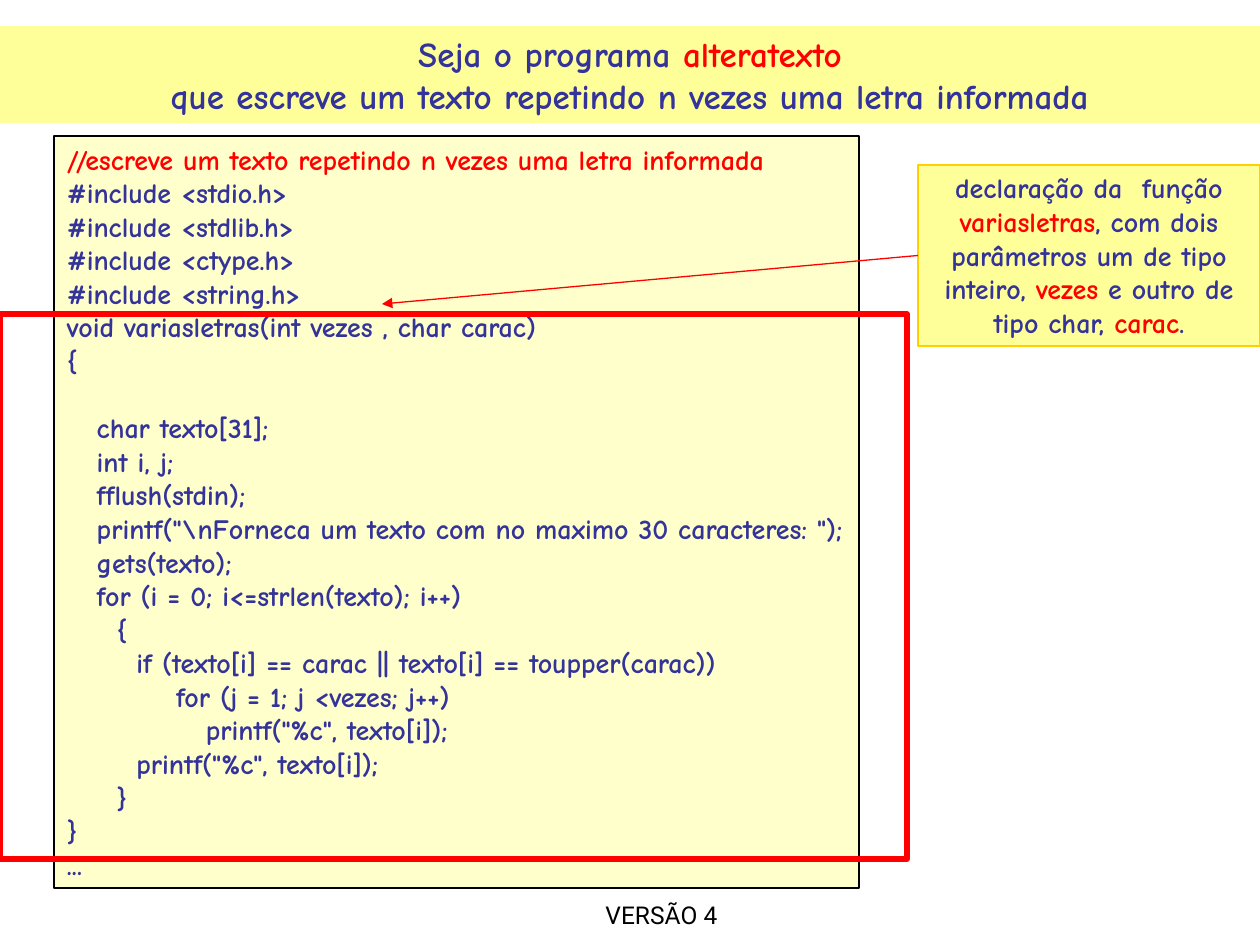
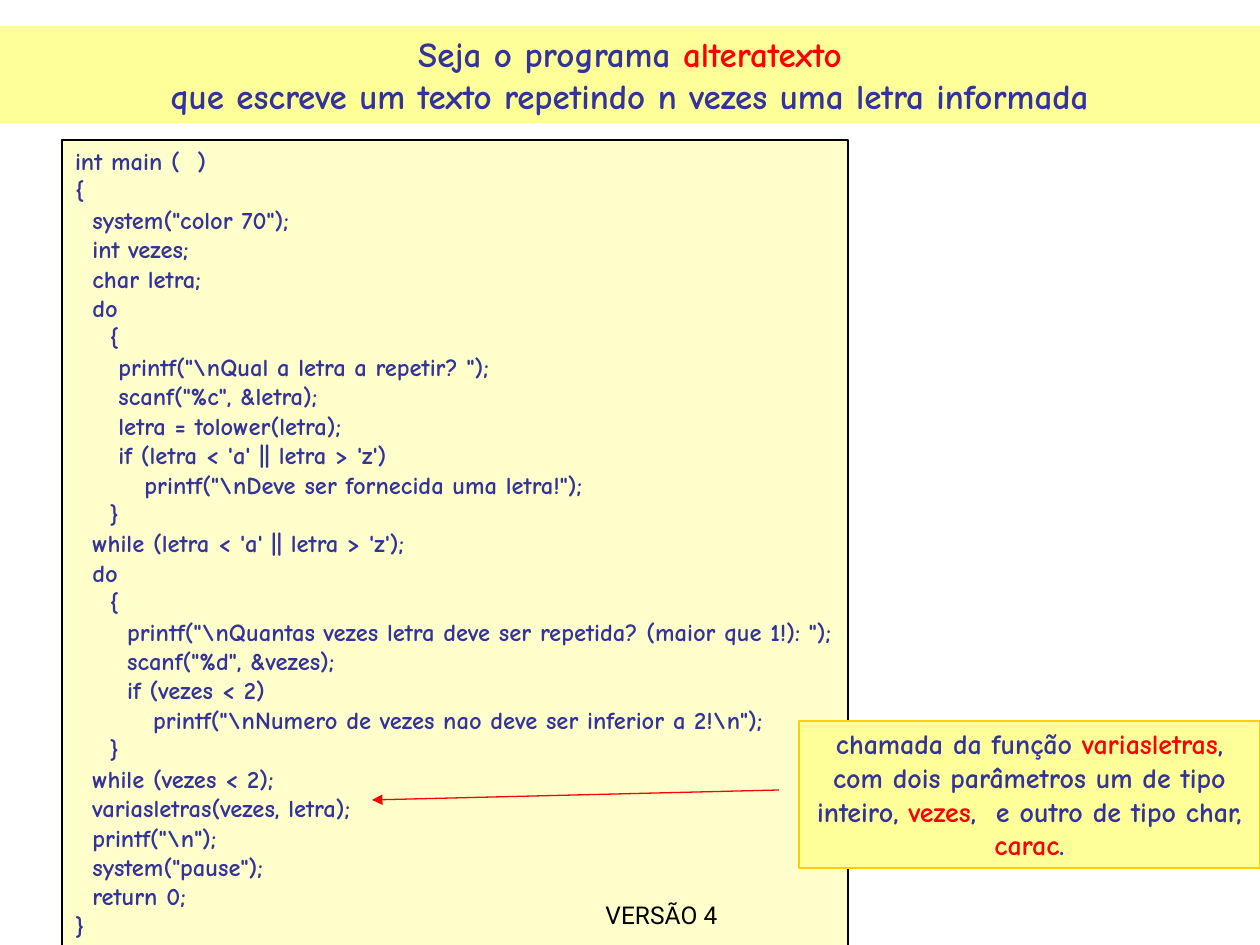
from dataclasses import dataclass
from typing import Any, Optional

from lxml.etree import SubElement
from pptx import Presentation
from pptx.dml.color import RGBColor
from pptx.enum.shapes import MSO_CONNECTOR, MSO_SHAPE
from pptx.enum.text import MSO_ANCHOR, MSO_AUTO_SIZE, PP_ALIGN
from pptx.oxml.ns import qn
from pptx.util import Emu, Pt

# Shared scale, colours and fonts
EMU_PER_PX = 914400 / 126
SLIDE_WIDTH, SLIDE_HEIGHT = 1260, 945
NAVY = RGBColor(0x33, 0x33, 0x99)
RED = RGBColor(0xFF, 0x00, 0x00)
BLACK = RGBColor(0x00, 0x00, 0x00)
YELLOW = RGBColor(0xFF, 0xFF, 0x99)
CREAM = RGBColor(0xFF, 0xFF, 0xCC)
GOLD = RGBColor(0xFF, 0xCF, 0x01)
MAIN_FONT, FOOTER_FONT = "Comic Neue", "Roboto"
SPACE_RATIO = 0.62  # px of indent per code column and point of text size
LINE_RATIO = 1.2  # line height per point of text size


@dataclass(frozen=True)
class Box:
    left: int
    top: int
    width: int
    height: int

    def emu(self) -> tuple[Emu, ...]:
        return tuple(map(px, (self.left, self.top, self.width, self.height)))


@dataclass(frozen=True)
class Arrow:
    start: tuple[int, int]
    end: tuple[int, int]
    joins_note: bool = False


@dataclass(frozen=True)
class CodeSlide:
    code: str
    code_size: int
    code_box: Box
    note: str
    note_box: Box
    arrow: Arrow
    frame: Optional[Box] = None


TITLE_BAND = Box(0, 26, 1260, 97)
FOOTER_BOX = Box(462, 872, 399, 63)
# Words between asterisks are shown in red
TITLE = ["Seja o programa *alteratexto*",
         "que escreve um texto repetindo n vezes uma letra informada"]
FOOTER = "VERSÃO 4"

FUNCTION_CODE = r"""
*//escreve um texto repetindo n vezes uma letra informada*
#include <stdio.h>
#include <stdlib.h>
#include <ctype.h>
#include <string.h>
void variasletras(int vezes , char carac)
{

   char texto[31];
   int i, j;
   fflush(stdin);
   printf("\nForneca um texto com no maximo 30 caracteres: ");
   gets(texto);
   for (i = 0; i<=strlen(texto); i++)
     {
       if (texto[i] == carac || texto[i] == toupper(carac))
           for (j = 1; j <vezes; j++)
              printf("%c", texto[i]);
       printf("%c", texto[i]);
     }
}
...
"""

MAIN_CODE = r"""
int main (  )
{
  system("color 70");
  int vezes;
  char letra;
  do
    {
     printf("\nQual a letra a repetir? ");
     scanf("%c", &letra);
     letra = tolower(letra);
     if (letra < 'a' || letra > 'z')
        printf("\nDeve ser fornecida uma letra!");
    }
  while (letra < 'a' || letra > 'z');
  do
    {
      printf("\nQuantas vezes letra deve ser repetida? (maior que 1!): ");
      scanf("%d", &vezes);
      if (vezes < 2)
         printf("\nNumero de vezes nao deve ser inferior a 2!\n");
    }
  while (vezes < 2);
  variasletras(vezes, letra);
  printf("\n");
  system("pause");
  return 0;
}
"""

SLIDES = [
    CodeSlide(
        FUNCTION_CODE, 16, Box(54, 136, 805, 752),
        "declaração da  função *variasletras*, com dois parâmetros um de tipo "
        "inteiro, *vezes* e outro de tipo char, *carac*.",
        Box(918, 165, 342, 181),
        Arrow((918, 255), (382, 304), joins_note=True),
        frame=Box(0, 314, 907, 545)),
    CodeSlide(
        MAIN_CODE, 14, Box(62, 140, 786, 807),
        "chamada da função *variasletras*, com dois parâmetros um de tipo "
        "inteiro, *vezes*,  e outro de tipo char, *carac*.",
        Box(799, 721, 461, 147),
        Arrow((779, 790), (372, 800))),
]


def px(length: float) -> Emu:
    return Emu(round(length * EMU_PER_PX))


def apply_format(target: Any, values: dict[str, Any]) -> None:
    for attribute, value in values.items():
        setattr(target, attribute, value)


def set_text_frame(frame: Any, **changes: Any) -> None:
    apply_format(frame, {
        "word_wrap": True, "auto_size": MSO_AUTO_SIZE.NONE,
        "vertical_anchor": MSO_ANCHOR.TOP,
        "margin_left": px(13), "margin_right": px(13),
        "margin_top": px(6), "margin_bottom": px(6), **changes})


def next_paragraph(frame: Any, index: int) -> Any:
    return frame.paragraphs[0] if index == 0 else frame.add_paragraph()


def write_runs(paragraph: Any, text: str, size: int, align: PP_ALIGN,
               font: str = MAIN_FONT, color: RGBColor = NAVY, bold: bool = True) -> None:
    paragraph.alignment = align
    for index, part in enumerate(text.split("*")):
        if part:
            run = paragraph.add_run()
            run.text = part
            apply_format(run.font, {"size": Pt(size), "name": font, "bold": bold})
            run.font.color.rgb = RED if index % 2 else color


def add_panel(slide: Any, box: Box, fill: Optional[RGBColor], line: RGBColor,
              line_width: float = 0.75) -> Any:
    panel = slide.shapes.add_shape(MSO_SHAPE.RECTANGLE, *box.emu())
    panel.shadow.inherit = False
    if fill is None:
        panel.fill.background()
    else:
        panel.fill.solid()
        panel.fill.fore_color.rgb = fill
    panel.line.color.rgb = line
    panel.line.width = Pt(line_width)
    return panel


def fill_title(slide: Any) -> None:
    title = slide.shapes.title
    apply_format(title, dict(zip(("left", "top", "width", "height"), TITLE_BAND.emu())))
    title.fill.solid()
    title.fill.fore_color.rgb = YELLOW
    set_text_frame(title.text_frame)
    for index, line in enumerate(TITLE):
        write_runs(next_paragraph(title.text_frame, index), line, 20, PP_ALIGN.CENTER)


def add_code(slide: Any, content: CodeSlide) -> None:
    frame = add_panel(slide, content.code_box, CREAM, BLACK).text_frame
    set_text_frame(frame, margin_right=0)
    size, index, skipped = content.code_size, 0, 0
    for line in content.code.strip("\n").split("\n"):
        code = line.lstrip()
        if not code:
            skipped += 1
            continue
        paragraph = next_paragraph(frame, index)
        write_runs(paragraph, code, size, PP_ALIGN.LEFT)
        # Leading columns become an indent, empty lines become space before
        columns = len(line) - len(code)
        if columns:
            properties = paragraph._p.get_or_add_pPr()
            properties.set("marL", str(px(columns * size * SPACE_RATIO)))
            properties.set("indent", "0")
        if skipped:
            paragraph.space_before = Pt(skipped * size * LINE_RATIO)
        index, skipped = index + 1, 0


def add_note(slide: Any, content: CodeSlide) -> Any:
    note = add_panel(slide, content.note_box, YELLOW, GOLD)
    set_text_frame(note.text_frame)
    write_runs(note.text_frame.paragraphs[0], content.note, 16, PP_ALIGN.CENTER)
    return note


def add_arrow(slide: Any, arrow: Arrow, note: Any) -> None:
    pointer = slide.shapes.add_connector(
        MSO_CONNECTOR.STRAIGHT, *map(px, arrow.start + arrow.end))
    if arrow.joins_note:
        pointer.begin_connect(note, 1)
    pointer.line.color.rgb = RED
    pointer.line.width = Pt(0.75)
    # Arrowhead and empty effect list
    SubElement(pointer.line._get_or_add_ln(), qn("a:tailEnd"), type="triangle")
    SubElement(pointer._element.spPr, qn("a:effectLst"))


def add_footer(slide: Any) -> None:
    frame = slide.shapes.add_textbox(*FOOTER_BOX.emu()).text_frame
    set_text_frame(frame, vertical_anchor=MSO_ANCHOR.BOTTOM)
    write_runs(frame.paragraphs[0], FOOTER, 14, PP_ALIGN.CENTER,
               FOOTER_FONT, BLACK, bold=False)


def build_slide(presentation: Any, content: CodeSlide) -> None:
    slide = presentation.slides.add_slide(presentation.slide_layouts[5])
    fill_title(slide)
    add_code(slide, content)
    note = add_note(slide, content)
    add_arrow(slide, content.arrow, note)
    if content.frame:
        add_panel(slide, content.frame, None, RED, 3)
    add_footer(slide)


def main() -> None:
    presentation = Presentation()
    presentation.slide_width = px(SLIDE_WIDTH)
    presentation.slide_height = px(SLIDE_HEIGHT)
    for content in SLIDES:
        build_slide(presentation, content)
    presentation.save("out.pptx")


if __name__ == "__main__":
    main()
